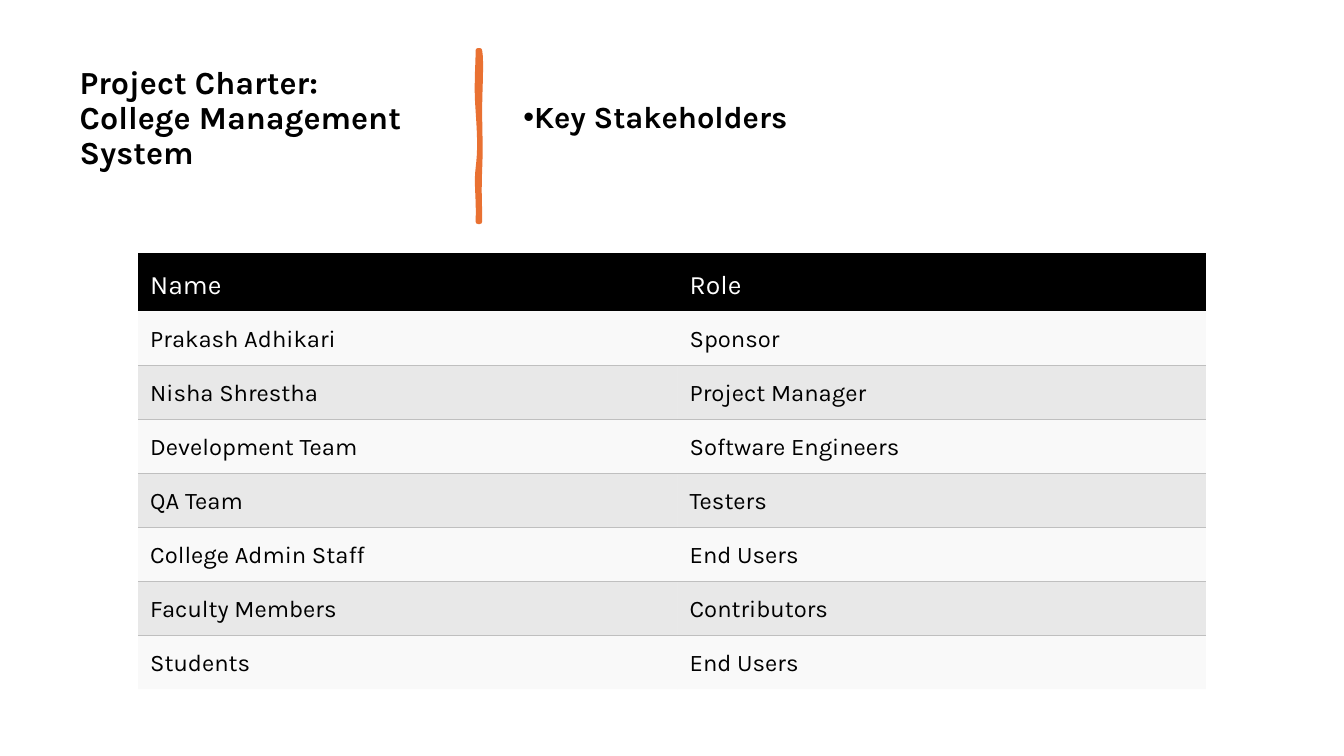
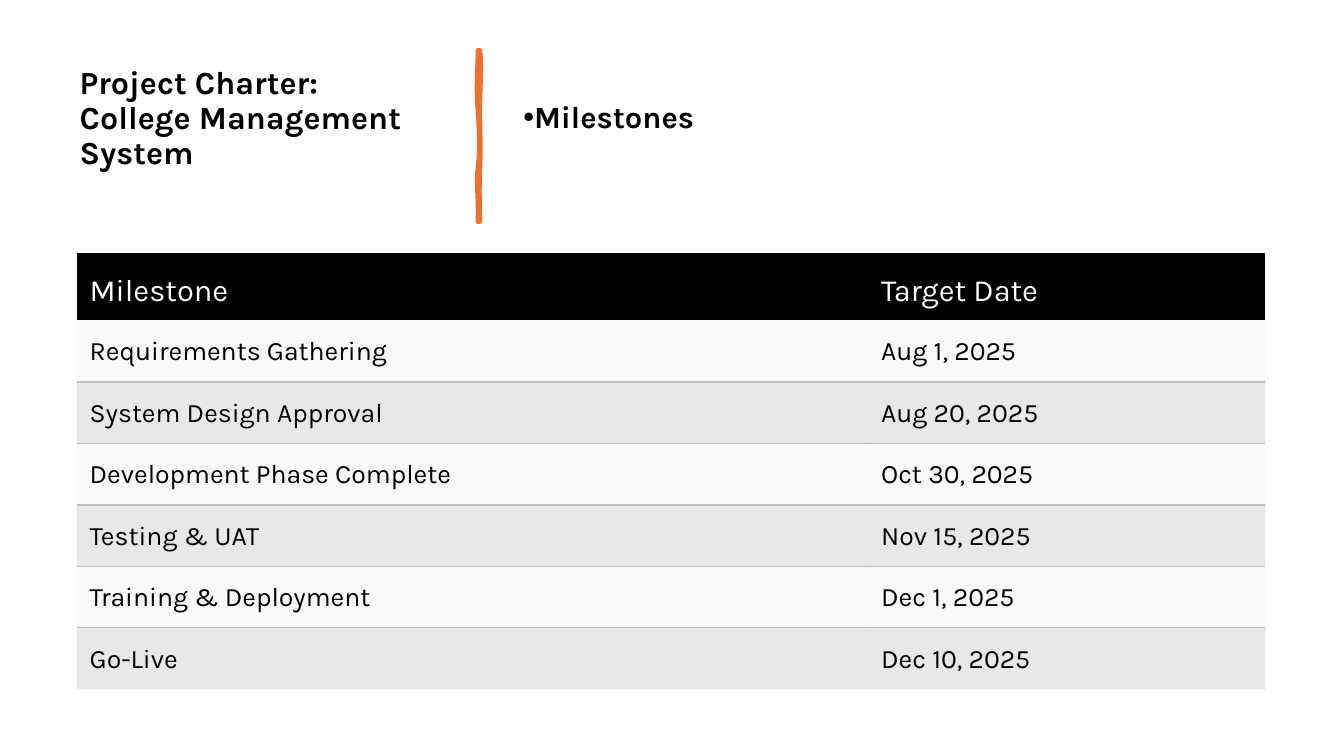
"""Build the project charter slides on stakeholders and milestones."""
from dataclasses import dataclass

from lxml.etree import SubElement
from pptx import Presentation
from pptx.dml.color import RGBColor as Rgb
from pptx.enum.text import MSO_ANCHOR as Anchor, MSO_AUTO_SIZE as Fit, PP_ALIGN as Align
from pptx.oxml import parse_xml
from pptx.oxml.ns import nsdecls, qn
from pptx.util import Pt


@dataclass(frozen=True)
class Theme:
    font: str = "Karla"
    ink: str = "000000"
    paper: str = "FFFFFF"
    accent: str = "E97132"
    rule: str = "BFBFBF"
    light: tuple = ("F2F2F2", 45)
    dark: tuple = ("BFBFBF", 35)
    title: int = 23
    topic: int = 22
    brush: float = 3.25


THEME = Theme()
SCALE = 9144
SIZE = (1333, 750)
TITLE = (69, 55, 374, 126)
TOPIC = (509, 55, 754, 126)
TOP, TALL = 251, 433
PLAIN = "{2D5ABB26-0587-4C30-8999-92F81FD0307C}"
START = (476, 50)
CURVES = [
    (478, 62, 476, 88, 476, 110),
    (476, 132, 477, 144, 476, 168),
    (475, 193, 476, 199, 476, 220),
    (476, 220, 474, 220, 474, 220),
    (475, 196, 472, 183, 474, 167),
    (476, 151, 476, 138, 474, 110),
    (472, 83, 474, 67, 474, 50),
]

PEOPLE = {
    "topic": "Key Stakeholders",
    "left": 137,
    "cols": (535, 524),
    "head": 58,
    "pads": (12, 14, 8, 7),
    "sizes": (19, 17),
    "rows": [
        ("Name", "Role"),
        ("Prakash Adhikari", "Sponsor"),
        ("Nisha Shrestha", "Project Manager"),
        ("Development Team", "Software Engineers"),
        ("QA Team", "Testers"),
        ("College Admin Staff", "End Users"),
        ("Faculty Members", "Contributors"),
        ("Students", "End Users"),
    ],
}
DATES = {
    "topic": "Milestones",
    "left": 76,
    "cols": (785, 394),
    "head": 67,
    "pads": (13, 16, 9, 8),
    "sizes": (22, 19),
    "rows": [
        ("Milestone", "Target Date"),
        ("Requirements Gathering", "Aug 1, 2025"),
        ("System Design Approval", "Aug 20, 2025"),
        ("Development Phase Complete", "Oct 30, 2025"),
        ("Testing & UAT", "Nov 15, 2025"),
        ("Training & Deployment", "Dec 1, 2025"),
        ("Go-Live", "Dec 10, 2025"),
    ],
}


def px(num):
    """Turn px into EMU."""
    return round(num * SCALE)


def apply(item, form):
    """Set attributes from a dict of format values."""
    for name, val in form.items():
        setattr(item, name, val)


def style(font, size, color=THEME.ink, bold=False):
    """Give a font its face, size, weight and colour."""
    apply(font, {"name": THEME.font, "size": Pt(size), "bold": bold})
    font.color.rgb = Rgb.from_string(color)


def fill_text(holder, box, text, size, bullet=False):
    """Move a placeholder and write one bold paragraph in it."""
    apply(holder, dict(zip(("left", "top", "width", "height"), map(px, box))))
    frame = holder.text_frame
    frame.text = text
    apply(frame, {"word_wrap": True, "auto_size": Fit.NONE,
                  "vertical_anchor": Anchor.MIDDLE})
    para = frame.paragraphs[0]
    apply(para, {"alignment": Align.LEFT, "line_spacing": 0.9,
                 "space_before": Pt(0)})
    if bullet:
        props = para._p.get_or_add_pPr()
        props.set("marL", "0")
        props.set("indent", str(-px(25)))
        SubElement(props, qn("a:buChar")).set("char", "•")
    style(para.runs[0].font, size, bold=True)


def trace(steps=8):
    """Return the points along the brush curves in EMU."""
    x, y = START
    dots = []
    for a, b, c, d, e, f in CURVES:
        for step in range(1, steps + 1):
            t = step / steps
            u = 1 - t
            mix = (u ** 3, 3 * u * u * t, 3 * u * t * t, t ** 3)
            dots.append(tuple(px(sum(m * p for m, p in zip(mix, axis)))
                              for axis in ((x, a, c, e), (y, b, d, f))))
        x, y = e, f
    return dots


def add_brush(slide):
    """Draw the upright brush stroke."""
    pen = slide.shapes.build_freeform(*map(px, START))
    pen.add_line_segments(trace(), close=True)
    brush = pen.convert_to_shape()
    brush.shadow.inherit = False
    brush.fill.solid()
    for fill in (brush.fill, brush.line):
        color = fill.fore_color if fill is brush.fill else fill.color
        color.rgb = Rgb.from_string(THEME.accent)
    brush.line.width = Pt(THEME.brush)
    SubElement(brush.line._ln, qn("a:round"))


def paint(cell, color, alpha=100):
    """Fill a cell, see-through if alpha is below 100."""
    cell.fill.solid()
    cell.fill.fore_color.rgb = Rgb.from_string(color)
    if alpha < 100:
        tint = cell._tc.tcPr.find(".//" + qn("a:srgbClr"))
        SubElement(tint, qn("a:alpha")).set("val", str(alpha * 1000))


def add_edge(cell, side):
    """Put a thin rule on one side of a cell."""
    cell._tc.tcPr.insert(0, parse_xml(
        f'<a:{side} {nsdecls("a")} w="{Pt(1)}"><a:solidFill>'
        f'<a:srgbClr val="{THEME.rule}"/></a:solidFill></a:{side}>'))


def fill_cell(cell, text, row, last, data):
    """Write and format one table cell."""
    cell.text = text
    sides = ("margin_left", "margin_top", "margin_right", "margin_bottom")
    apply(cell, dict(zip(sides, map(px, data["pads"]))))
    font = cell.text_frame.paragraphs[0].runs[0].font
    head, body = data["sizes"]
    if row == 0:
        cell.vertical_anchor = Anchor.MIDDLE
        style(font, head, THEME.paper)
        paint(cell, THEME.ink)
        return
    cell.vertical_anchor = Anchor.TOP
    style(font, body)
    paint(cell, *(THEME.light if row % 2 else THEME.dark))
    if row % 2 == 0:
        add_edge(cell, "lnT")
    elif row < last:
        add_edge(cell, "lnB")


def add_grid(slide, data):
    """Add the table with a black head and banded rows."""
    rows, cols = data["rows"], data["cols"]
    last = len(rows) - 1
    box = map(px, (data["left"], TOP, sum(cols), TALL))
    grid = slide.shapes.add_table(len(rows), len(cols), *box).table
    apply(grid, {"first_row": False, "horz_banding": False})
    grid._tbl.tblPr.find(qn("a:tableStyleId")).text = PLAIN
    for col, wide in zip(grid.columns, cols):
        col.width = px(wide)
    for row, texts in enumerate(rows):
        tall = (TALL - data["head"]) / last if row else data["head"]
        grid.rows[row].height = px(tall)
        for col, text in enumerate(texts):
            fill_cell(grid.cell(row, col), text, row, last, data)


def add_page(deck, data):
    """Add one charter slide with its topic and table."""
    slide = deck.slides.add_slide(deck.slide_layouts[1])
    fill_text(slide.shapes.title, TITLE,
              "Project Charter: College Management System", THEME.title)
    add_brush(slide)
    fill_text(slide.placeholders[1], TOPIC, data["topic"], THEME.topic, True)
    add_grid(slide, data)


def main():
    """Build and save the deck."""
    deck = Presentation()
    apply(deck, dict(zip(("slide_width", "slide_height"), map(px, SIZE))))
    for data in (PEOPLE, DATES):
        add_page(deck, data)
    deck.save("out.pptx")


if __name__ == "__main__":
    main()
